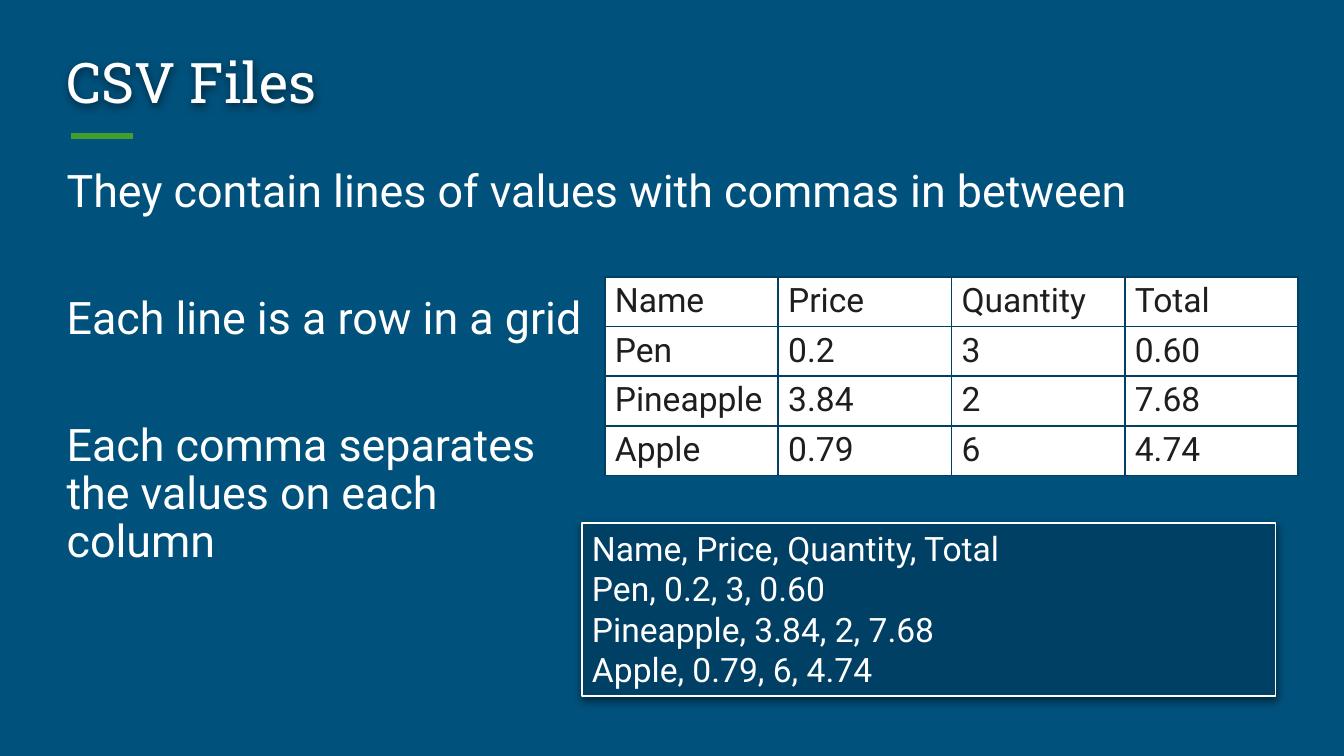
from lxml.etree import SubElement
from pptx import Presentation
from pptx.dml.color import RGBColor
from pptx.enum.shapes import MSO_CONNECTOR, MSO_SHAPE
from pptx.enum.text import MSO_ANCHOR, PP_ALIGN
from pptx.oxml import parse_xml
from pptx.oxml.ns import nsdecls, qn
from pptx.util import Inches, Pt

TITLE = "CSV Files"
POINTS = [
    ["They contain lines of values with commas in between"],
    ["Each line is a row in a grid"],
    ["Each comma separates", "the values on each ", "column"],
]
RECORDS = [
    ("Name", "Price", "Quantity", "Total"),
    ("Pen", "0.2", "3", "0.60"),
    ("Pineapple", "3.84", "2", "7.68"),
    ("Apple", "0.79", "6", "4.74"),
]
BLUE, NAVY, GREEN = "00517C", "004065", "419E2F"
WHITE, INK = "FFFFFF", "1E1E1E"
COLUMN_WIDTH, ROW_HEIGHT = 1.29, 0.36


def color(hex_value):
    return RGBColor.from_string(hex_value)


def place(left, top, width, height):
    return [Inches(value) for value in (left, top, width, height)]


def set_margins(holder, side, edge):
    holder.margin_left = holder.margin_right = Pt(side)
    holder.margin_top = holder.margin_bottom = Pt(edge)


def set_frame(frame, anchor=MSO_ANCHOR.TOP):
    frame.word_wrap = True
    frame.vertical_anchor = anchor
    set_margins(frame, 5.4, 2.7)


def add_span(para, text, size, hex_value, font="Roboto"):
    span = para.add_run()
    span.text = text
    span.font.size = Pt(size)
    span.font.color.rgb = color(hex_value)
    span.font.name = font


def add_shadow(shape):
    shape._element.spPr.append(parse_xml(
        f'<a:effectLst {nsdecls("a")}>'
        '<a:outerShdw blurRad="57150" dist="19050" dir="5400000" algn="bl" rotWithShape="0">'
        '<a:srgbClr val="000000"><a:alpha val="50000"/></a:srgbClr>'
        '</a:outerShdw></a:effectLst>'
    ))


def add_title(page):
    title = page.shapes.title
    title.left, title.top, title.width, title.height = place(0.42, 0.26, 9.15, 0.75)
    title.fill.background()
    add_shadow(title)
    set_frame(title.text_frame, MSO_ANCHOR.MIDDLE)
    para = title.text_frame.paragraphs[0]
    para.alignment = PP_ALIGN.LEFT
    para.line_spacing = 0.9
    add_span(para, TITLE, 30, WHITE, "Roboto Slab")


def add_rule(page):
    rule = page.shapes.add_connector(
        MSO_CONNECTOR.STRAIGHT, *place(0.53, 1.01, 0.99, 1.01))
    rule.line.color.rgb = color(GREEN)
    rule.line.width = Pt(3)
    SubElement(rule._element.spPr, qn("a:effectLst"))


def add_points(page):
    box = page.shapes.add_textbox(*place(0.42, 1.22, 9.15, 3.77))
    frame = box.text_frame
    set_frame(frame)
    for index, lines in enumerate(POINTS):
        para = frame.add_paragraph() if index else frame.paragraphs[0]
        para.line_spacing = 0.9
        if index:
            para.space_before = Pt(42)
        for number, line in enumerate(lines):
            if number:
                para.add_line_break()
            add_span(para, line, 24, WHITE)


def set_borders(cell):
    properties = cell._tc.get_or_add_tcPr()
    for side in ("lnL", "lnR", "lnT", "lnB"):
        border = SubElement(properties, qn(f"a:{side}"), w=str(Pt(1)))
        fill = SubElement(border, qn("a:solidFill"))
        SubElement(fill, qn("a:srgbClr"), val=NAVY)


def add_grid(page):
    rows, columns = len(RECORDS), len(RECORDS[0])
    area = place(4.5, 2.06, columns * COLUMN_WIDTH, rows * ROW_HEIGHT)
    table = page.shapes.add_table(rows, columns, *area).table
    table.first_row = table.horz_banding = False
    for column in table.columns:
        column.width = Inches(COLUMN_WIDTH)
    for row, record in zip(table.rows, RECORDS):
        row.height = Inches(ROW_HEIGHT)
        for cell, value in zip(row.cells, record):
            set_margins(cell, 5.4, 2.5)
            set_borders(cell)
            cell.fill.solid()
            cell.fill.fore_color.rgb = color(WHITE)
            add_span(cell.text_frame.paragraphs[0], value, 18, INK)


def add_file_text(page):
    panel = page.shapes.add_shape(
        MSO_SHAPE.RECTANGLE, *place(4.33, 3.89, 5.16, 1.29))
    panel.fill.solid()
    panel.fill.fore_color.rgb = color(NAVY)
    panel.line.color.rgb = color(WHITE)
    panel.line.width = Pt(0.75)
    add_shadow(panel)
    frame = panel.text_frame
    set_frame(frame)
    for index, record in enumerate(RECORDS):
        para = frame.add_paragraph() if index else frame.paragraphs[0]
        para.alignment = PP_ALIGN.LEFT
        add_span(para, ", ".join(record), 18, WHITE)


def main():
    deck = Presentation()
    deck.slide_width = Inches(10)
    deck.slide_height = deck.slide_width * 9 // 16
    page = deck.slides.add_slide(deck.slide_layouts[5])
    page.background.fill.solid()
    page.background.fill.fore_color.rgb = color(BLUE)
    add_rule(page)
    add_title(page)
    add_points(page)
    add_grid(page)
    add_file_text(page)
    deck.save("out.pptx")


if __name__ == "__main__":
    main()
